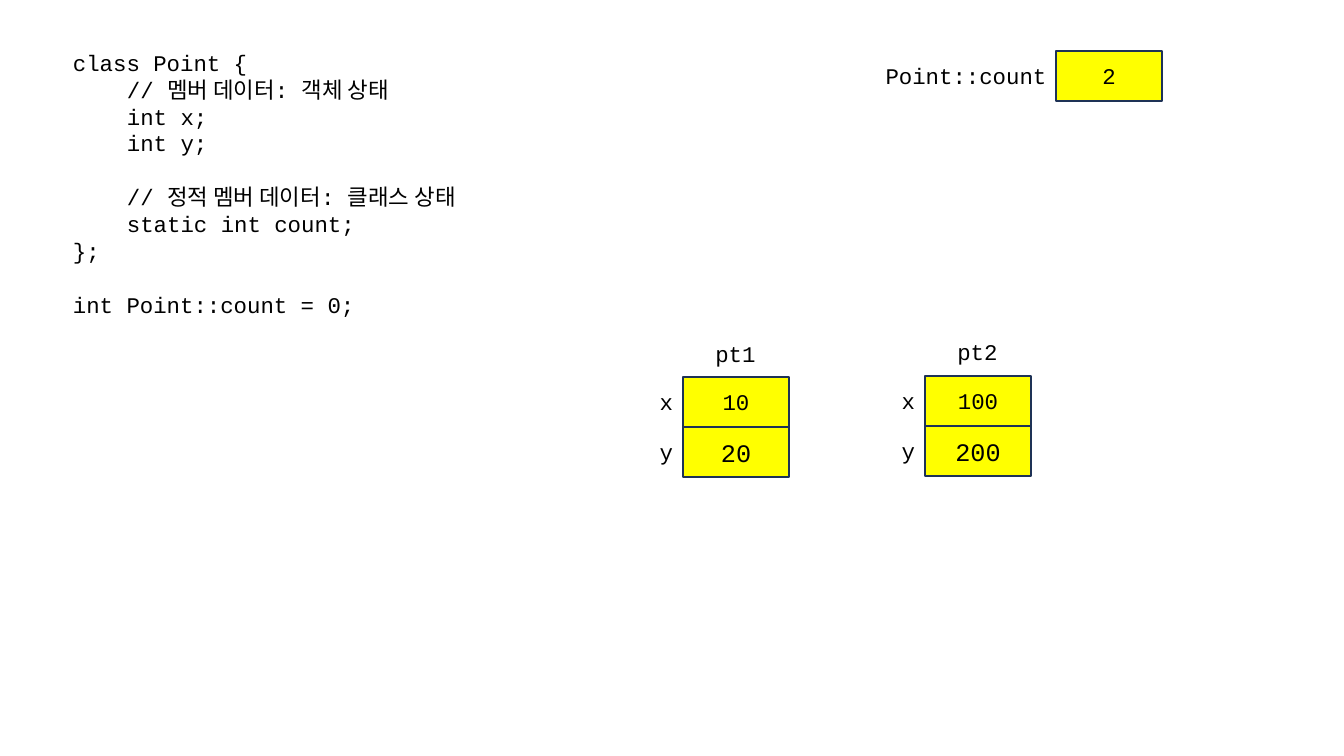
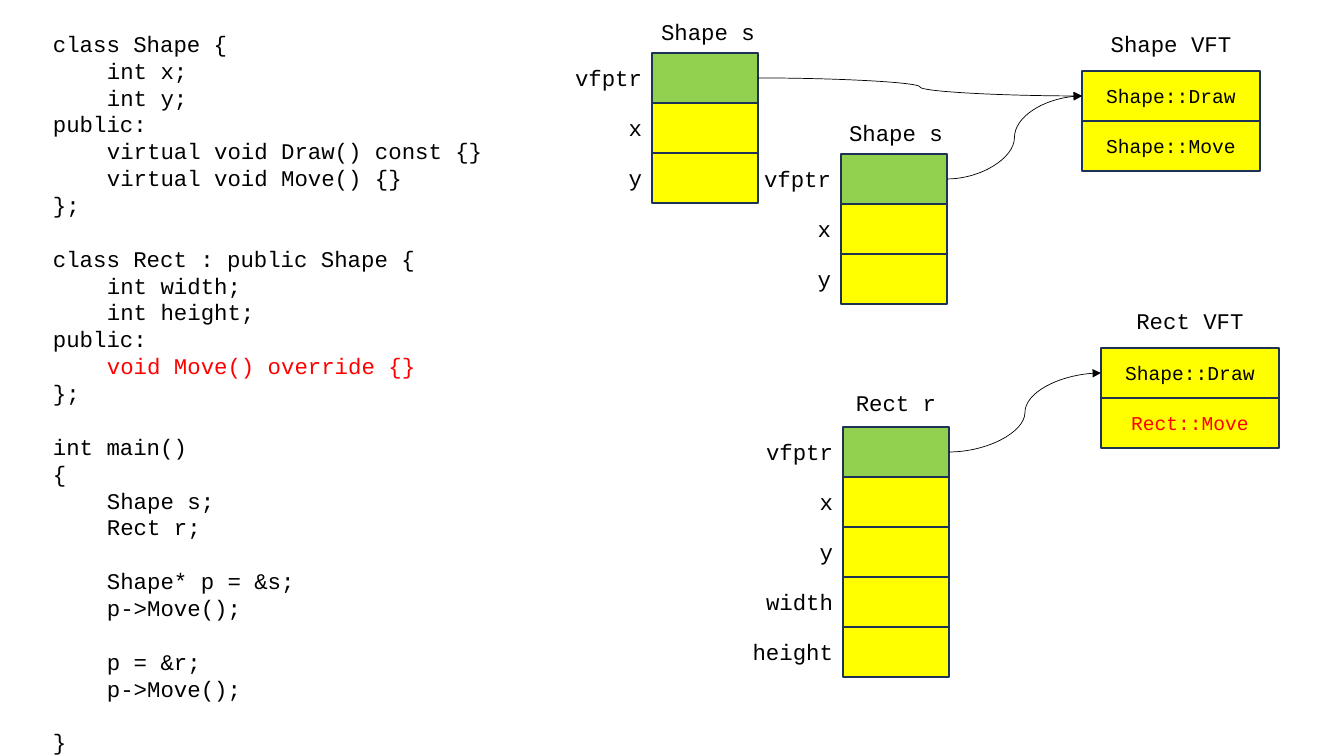
"""Two slides on C++ object layout: static members and virtual function tables."""
from pptx import Presentation
from pptx.dml.color import RGBColor
from pptx.enum.shapes import MSO_CONNECTOR as Link, MSO_SHAPE as Kind
from pptx.enum.text import MSO_ANCHOR as Anchor, PP_ALIGN as Align
from pptx.oxml.ns import qn
from pptx.util import Pt
from lxml.etree import SubElement

SCALE = 914400 / 100.8
FONT = "Courier New"
BLACK, RED, NAVY = "000000", "FF0000", "1E3256"
YELLOW, GREEN = "FFFF00", "92D050"
ROW, LABEL, INDENT = 50, 105, 54
LINE = 19.2
hue = RGBColor.from_string


def write(frame, code, align, size=16, color=BLACK):
    """Fill a frame with lines, turning indents and gaps into paragraph settings."""
    frame.word_wrap = True
    para, gap = frame.paragraphs[0], 0
    for i, line in enumerate(code.split("\n")):
        if not line:
            gap += LINE
            continue
        if i:
            para = frame.add_paragraph()
        para.text = line.strip()
        para.alignment = align
        para.space_before = Pt(gap)
        if line.startswith(" "):
            para._p.get_or_add_pPr().set("marL", str(round(INDENT * SCALE)))
        if align == Align.LEFT:
            para.line_spacing = Pt(LINE)
        para.font.name, para.font.size = FONT, Pt(size)
        para.font.color.rgb = hue(RED if "override" in line else color)
        gap = 0


def put(slide, x, y, w, h, code="", align=Align.LEFT, fill=None, **style):
    """Place a text box, or an outlined cell when a fill is given."""
    area = [round(v * SCALE) for v in (x, y, w, h)]
    if fill:
        shape = slide.shapes.add_shape(Kind.RECTANGLE, *area)
        shape.shadow.inherit = False
        shape.fill.solid()
        shape.fill.fore_color.rgb = hue(fill)
        shape.line.color.rgb = hue(NAVY)
        shape.line.width = Pt(1)
        shape.text_frame.vertical_anchor = Anchor.MIDDLE
    else:
        shape = slide.shapes.add_textbox(*area)
    if code:
        write(shape.text_frame, code, align, **style)
    return shape


POINT = """class Point {
    // 멤버 데이터: 객체 상태
    int x;
    int y;

    // 정적 멤버 데이터: 클래스 상태
    static int count;
};

int Point::count = 0;"""

SHAPE = """class Shape {
    int x;
    int y;
public:
    virtual void Draw() const {}
    virtual void Move() {}
};

class Rect : public Shape {
    int width;
    int height;
public:
    void Move() override {}
};

int main()
{
    Shape s;
    Rect r;

    Shape* p = &s;
    p->Move();

    p = &r;
    p->Move();

}"""

base = [("vfptr", "", 16), ("x", "", 16), ("y", "", 16)]
more = [("width", "", 16), ("height", "", 16)]
draw = ("", "Shape::Draw", 14)

pages = [
    ((63, 44, 672, 288, POINT), [
        ("pt1", (683, 335, 105), (683, 377, 106), [("x", "10", 16), ("y", "20", 18)]),
        ("pt2", (925, 333, 105), (925, 376, 106), [("x", "100", 16), ("y", "200", 18)]),
        ("Point::count", (868, 57, 196), (1056, 51, 106), [("", "2", 16)]),
    ], []),
    ((43, 25, 520, 743, SHAPE), [
        ("Shape s", (619, 13, 178), (652, 53, 106), base),
        ("Shape s", (807, 114, 178), (841, 154, 106), base),
        ("Rect r", (807, 384, 178), (843, 427, 106), base + more),
        ("Shape VFT", (1082, 25, 178), (1082, 71, 178), [draw, ("", "Shape::Move", 14)]),
        ("Rect VFT", (1101, 302, 178), (1101, 348, 178), [draw, ("", "Rect::Move", 14)]),
    ], [(0, 3), (1, 3), (2, 4)]),
]

deck = Presentation()
deck.slide_width, deck.slide_height = round(1344 * SCALE), round(756 * SCALE)

for (left, top, wide, high, code), stacks, links in pages:
    slide = deck.slides.add_slide(deck.slide_layouts[6])
    put(slide, left, top, wide, high, code)
    heads = []
    for title, (tx, ty, tw), (x, y, w), rows in stacks:
        put(slide, tx, ty, tw, 37, title, Align.CENTER)
        cells = []
        for i, (label, value, size) in enumerate(rows):
            cells.append(put(slide, x, y + i * ROW, w, ROW, value, Align.CENTER,
                             fill=GREEN if label == "vfptr" else YELLOW, size=size,
                             color=RED if value == "Rect::Move" else BLACK))
            if label:
                put(slide, x - LABEL, y + i * ROW + 6, LABEL, 37, label, Align.RIGHT)
        heads.append(cells[0])
    for start, end in links:
        arrow = slide.shapes.add_connector(Link.CURVE, 0, 0, 0, 0)
        arrow.begin_connect(heads[start], 3)
        arrow.end_connect(heads[end], 1)
        arrow.line.color.rgb = hue(BLACK)
        arrow.line.width = Pt(0.5)
        SubElement(arrow.line._get_or_add_ln(), qn("a:tailEnd"), type="triangle")
        SubElement(arrow._element.spPr, qn("a:effectLst"))

deck.save("out.pptx")
